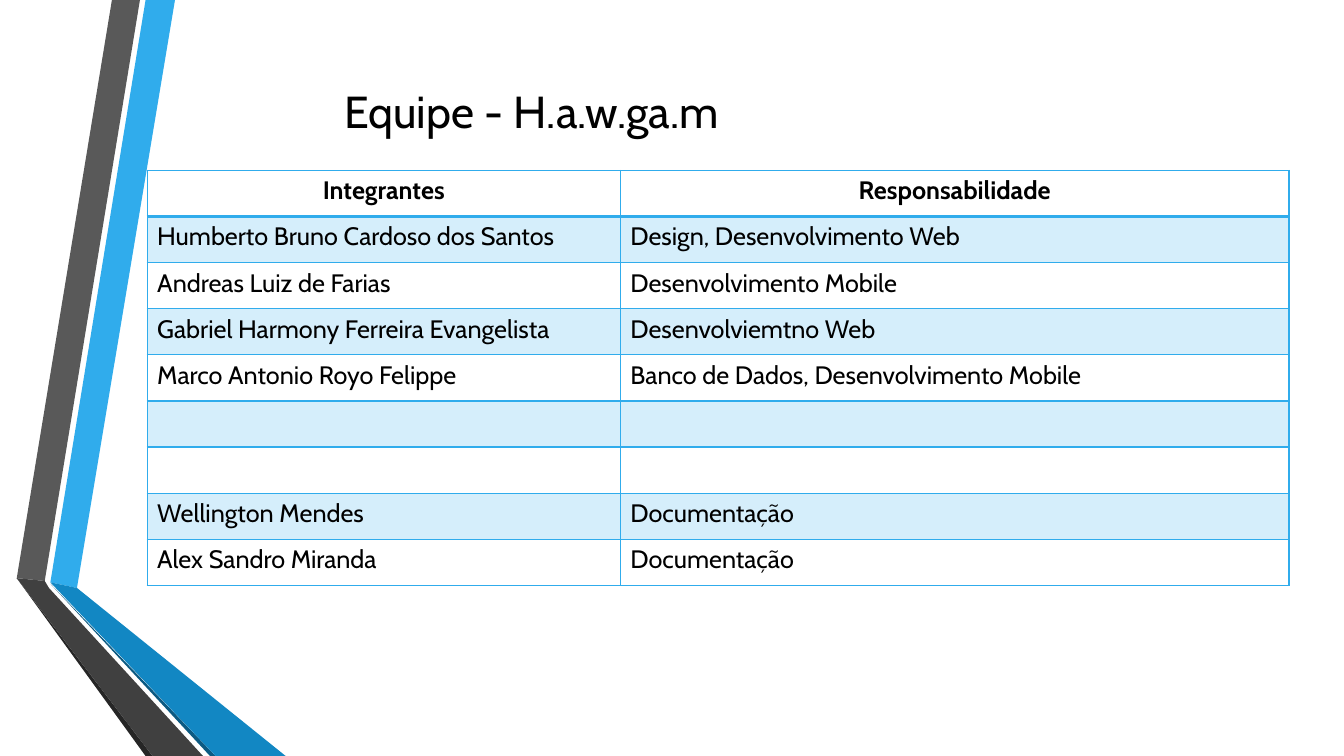
import pptx
import pptx.util
import pptx.dml.color
import pptx.enum.text
import pptx.oxml
import pptx.oxml.ns
import lxml.etree

Pt = pptx.util.Pt
qn = pptx.oxml.ns.qn
ALIGN = pptx.enum.text.PP_ALIGN
MIDDLE = pptx.enum.text.MSO_ANCHOR.MIDDLE

# Content
TITLE = "Equipe - H.a.w.ga.m"
TEAM = [
    ("Integrantes", "Responsabilidade"),
    ("Humberto Bruno Cardoso dos Santos", "Design, Desenvolvimento Web"),
    ("Andreas Luiz de Farias", "Desenvolvimento Mobile"),
    ("Gabriel Harmony Ferreira Evangelista", "Desenvolviemtno Web"),
    ("Marco Antonio Royo Felippe", "Banco de Dados, Desenvolvimento Mobile"),
    ("", ""),
    ("", ""),
    ("Wellington Mendes", "Documentação"),
    ("Alex Sandro Miranda", "Documentação"),
]
FONT = "Cabin"
COLORS = {
    "text": "000000", "blue": "30ACEC", "gray": "595959", "coal": "262626",
    "navy": "0C5A82", "deep": "1287C3", "dark": "404040",
}

# Ribbon outlines, back to front, in points
RIBBONS = [
    ("blue", [(36, 416.2), (55.4, 419.8), (124.6, 0), (104.4, 0)]),
    ("gray", [(100, 0), (80, 0), (11.5, 412.6), (31.7, 415.4)]),
    ("coal", [(11.5, 412.6), (104.4, 540), (108.7, 540)]),
    ("navy", [(36, 416.9), (149.8, 540), (154, 540)]),
    ("deep", [(36, 416.2), (154, 540), (203.8, 540), (55.4, 419.8)]),
    ("dark", [(145.4, 540), (34.6, 419.8), (31.7, 415.4), (11.5, 412.6),
              (108.7, 540)]),
]

# Layout, in points
TABLE = (105.1, 121.7)
COLS = (338, 477.7)
ROW = 32.95
HEAD = (43.9, 19.4, 671.8, 118.8)


def rgb(name):
    return pptx.dml.color.RGBColor.from_string(COLORS[name])


def write(frame, text, size, align, bold=False):
    para = frame.paragraphs[0]
    para.alignment = align
    para.font.size = Pt(size)
    if text:
        run = para.add_run()
        run.text = text
        run.font.name = FONT
        run.font.size = Pt(size)
        run.font.bold = bold
        run.font.color.rgb = rgb("text")


def border(cell, side, width):
    line = lxml.etree.SubElement(
        cell._tc.get_or_add_tcPr(), qn("a:ln" + side), w=str(Pt(width)))
    fill = lxml.etree.SubElement(line, qn("a:solidFill"))
    lxml.etree.SubElement(fill, qn("a:srgbClr"), val=COLORS["blue"])


def tint(cell, name, percent):
    cell.fill.solid()
    cell.fill.fore_color.rgb = rgb(name)
    color = cell._tc.tcPr.find(qn("a:solidFill")).find(qn("a:srgbClr"))
    lxml.etree.SubElement(color, qn("a:alpha"), val=str(percent * 1000))


deck = pptx.Presentation()
deck.slide_width, deck.slide_height = Pt(960), Pt(540)
slide = deck.slides.add_slide(deck.slide_layouts[6])

# Ribbons
for name, points in RIBBONS:
    pen = slide.shapes.build_freeform(*points[0], scale=Pt(1))
    pen.add_line_segments(points[1:], close=True)
    ribbon = pen.convert_to_shape()
    ribbon.shadow.inherit = False
    ribbon.fill.solid()
    ribbon.fill.fore_color.rgb = rgb(name)
    ribbon.line.fill.background()

# Team table
grid = slide.shapes.add_table(
    len(TEAM), len(COLS), *map(Pt, TABLE),
    Pt(sum(COLS)), Pt(ROW * len(TEAM))).table
grid.first_row = grid.horz_banding = False
for col, width in zip(grid.columns, COLS):
    col.width = Pt(width)
for r, texts in enumerate(TEAM):
    grid.rows[r].height = Pt(ROW)
    for c, text in enumerate(texts):
        cell = grid.cell(r, c)
        for side in "LRTB":
            thick = (r, side) in ((0, "B"), (1, "T"))
            border(cell, side, 2 if thick else 1)
        if r % 2:
            tint(cell, "blue", 20)
        else:
            cell.fill.background()
        write(cell.text_frame, text, 18,
              ALIGN.LEFT if r else ALIGN.CENTER, bold=r == 0)

# Title
frame = slide.shapes.add_textbox(*map(Pt, HEAD)).text_frame
frame.word_wrap = True
frame.vertical_anchor = MIDDLE
write(frame, TITLE, 32, ALIGN.CENTER)

deck.save("out.pptx")
